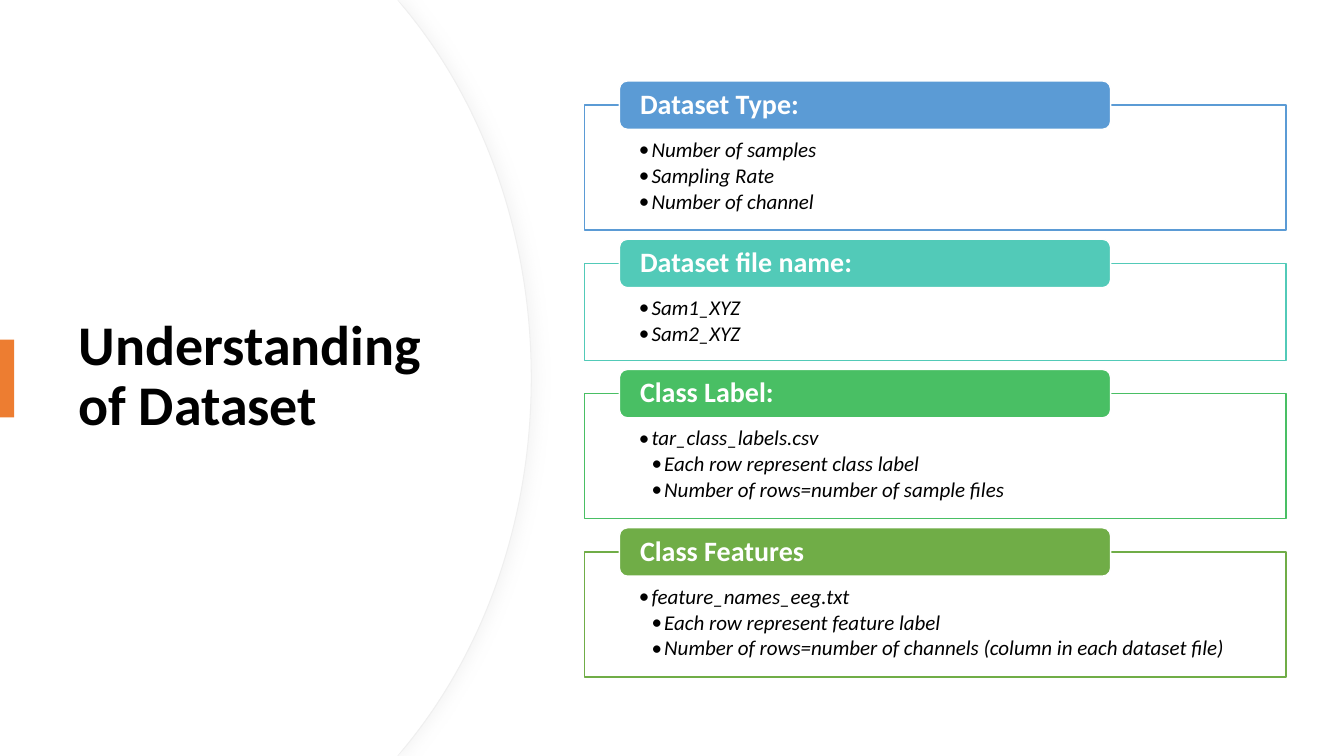
from dataclasses import dataclass

from lxml.etree import SubElement
from pptx import Presentation
from pptx.dml.color import RGBColor as RGB
from pptx.enum.shapes import MSO_SHAPE as Kind
from pptx.enum.text import MSO_ANCHOR as Anchor, MSO_AUTO_SIZE as Fit, PP_ALIGN as Align
from pptx.oxml.ns import qn
from pptx.util import Cm, Pt


@dataclass(frozen=True)
class Theme:
    font: str = "Calibri"
    ink: str = "000000"
    paper: str = "FFFFFF"
    edge: str = "EFEFEF"
    shade: str = "D9D9D9"
    accent: str = "ED7D31"
    title: float = 40
    head: float = 20
    body: float = 15


LOOK = Theme()

# Heading, colour, and (level, text) lines of each card
CARDS = [
    ("Dataset Type:", "5B9BD5",
     [(1, "Number of samples"), (1, "Sampling Rate"), (1, "Number of channel")]),
    ("Dataset file name:", "52CAB8",
     [(1, "Sam1_XYZ"), (1, "Sam2_XYZ")]),
    ("Class Label:", "49BF64",
     [(1, "tar_class_labels.csv"),
      (2, "Each row represent class label"),
      (2, "Number of rows=number of sample files")]),
    ("Class Features", "70AD47",
     [(1, "feature_names_eeg.txt"),
      (2, "Each row represent feature label"),
      (2, "Number of rows=number of channels (column in each dataset file)")]),
]

# Card layout in cm
TOP, GAP, BASE, ROW = 2.65, 0.84, 1.02, 0.71
LEFT, WIDE = 14.73, 17.68
TAB_X, TAB_W, TAB_H, PAD = 15.61, 12.38, 1.22, 0.06
STEP = 0.32


def paint(shape, fill, line=None, width=1):
    shape.shadow.inherit = False
    shape.fill.solid()
    shape.fill.fore_color.rgb = RGB.from_string(fill)
    if line:
        shape.line.color.rgb = RGB.from_string(line)
        shape.line.width = Pt(width)
    else:
        shape.line.fill.background()


def block(slide, kind, x, y, w, h, fill, line=None):
    shape = slide.shapes.add_shape(kind, Cm(x), Cm(y), Cm(w), Cm(h))
    paint(shape, fill, line)
    return shape


def label(slide, x, y, w, h, lines, size, **fmt):
    write(slide.shapes.add_textbox(Cm(x), Cm(y), Cm(w), Cm(h)), lines, size, **fmt)


def bullet(para, level):
    para.level = level
    props = para._p.get_or_add_pPr()
    props.set("marL", str(Cm(STEP * level)))
    props.set("indent", str(-Cm(STEP)))
    SubElement(props, qn("a:buFont")).set("typeface", LOOK.font)
    SubElement(props, qn("a:buChar")).set("char", "•")


def write(shape, lines, size, color=LOOK.ink, bold=False, italic=False,
          anchor=Anchor.MIDDLE, inset=(0.25, 0.13, 0.25, 0.13), after=0):
    """Fill a shape with (level, text) lines; level 0 has no bullet."""
    frame = shape.text_frame
    frame.word_wrap = True
    frame.auto_size = Fit.NONE
    frame.vertical_anchor = anchor
    (frame.margin_left, frame.margin_top,
     frame.margin_right, frame.margin_bottom) = map(Cm, inset)
    for i, (level, text) in enumerate(lines):
        para = frame.add_paragraph() if i else frame.paragraphs[0]
        para.alignment = Align.LEFT
        para.line_spacing = 0.9
        para.space_before = Pt(0)
        para.space_after = Pt(after)
        if level:
            bullet(para, level)
        run = para.add_run()
        run.text = text
        font = run.font
        font.name, font.size = LOOK.font, Pt(size)
        font.bold, font.italic = bold, italic
        font.color.rgb = RGB.from_string(color)


def dim(parent, percent):
    SubElement(parent, qn("a:alpha")).set("val", str(percent * 1000))


def cast(shape):
    """Soft shadow to the right."""
    glow = SubElement(shape._element.spPr.find(qn("a:effectLst")), qn("a:outerShdw"))
    for key, value in (("blurRad", Pt(10)), ("dist", Pt(3)), ("dir", 0)):
        glow.set(key, str(value))
    tint = SubElement(glow, qn("a:srgbClr"))
    tint.set("val", LOOK.shade)
    dim(tint, 25)


def bend(line, *spots):
    """Turn a straight segment into a cubic curve with two control points."""
    line.tag = qn("a:cubicBezTo")
    end = line[0]
    for x, y in spots:
        dot = SubElement(line, qn("a:pt"))
        dot.set("x", str(Cm(x)))
        dot.set("y", str(Cm(y)))
    line.append(end)


def panel(slide, shift, line=None):
    """White panel with a bowed right side, symmetric about mid-height."""
    high = 19.05
    neck, near, far = 10.19 - shift, 12.17 - shift, 13.39 - shift
    spots = [(10.01, 0), (neck, 0.2), (far, high / 2), (neck, high - 0.2),
             (10.01, high), (0, high)]
    pen = slide.shapes.build_freeform(0, 0)
    pen.add_line_segments([(Cm(x), Cm(y)) for x, y in spots], close=True)
    shape = pen.convert_to_shape()
    parts = list(shape._element.iter(qn("a:lnTo")))
    bend(parts[2], (near, 2.59), (far, 5.89))
    bend(parts[3], (far, high - 5.89), (near, high - 2.59))
    paint(shape, LOOK.paper, line, 0.75)
    return shape


def card(slide, y, high, head, color, lines):
    box = block(slide, Kind.RECTANGLE, LEFT, y, WIDE, high, LOOK.paper, color)
    dim(box._element.spPr.find(qn("a:solidFill"))[0], 90)
    label(slide, LEFT, y, WIDE, high, lines, LOOK.body, italic=True,
          anchor=Anchor.TOP, inset=(1.37, 0.86, 1.37, 0.3), after=2.25)
    top = y - TAB_H / 2
    block(slide, Kind.ROUNDED_RECTANGLE, TAB_X, top, TAB_W, TAB_H, color, LOOK.paper)
    label(slide, TAB_X + PAD, top + PAD, TAB_W - 2 * PAD, TAB_H - 2 * PAD,
          [(0, head)], LOOK.head, color=LOOK.paper, bold=True,
          inset=(0.46, 0, 0.46, 0))


def main():
    deck = Presentation()
    deck.slide_width, deck.slide_height = Cm(33.87), Cm(19.05)
    slide = deck.slides.add_slide(deck.slide_layouts[5])

    # Left panel
    cast(panel(slide, 0, LOOK.edge))
    panel(slide, 0.03)

    # Title, raised above the panel
    title = slide.shapes.title
    title.left, title.top, title.width, title.height = map(Cm, (1.73, 3.23, 10.01, 12.57))
    write(title, [(0, "Understanding of Dataset")], LOOK.title, bold=True)
    slide.shapes._spTree.append(title._element)
    block(slide, Kind.RECTANGLE, 0, 8.56, 0.36, 1.96, LOOK.accent)

    # Cards, each as tall as its lines need
    y = TOP
    for head, color, lines in CARDS:
        high = BASE + ROW * len(lines)
        card(slide, y, high, head, color, lines)
        y += high + GAP

    deck.save("out.pptx")


if __name__ == "__main__":
    main()
